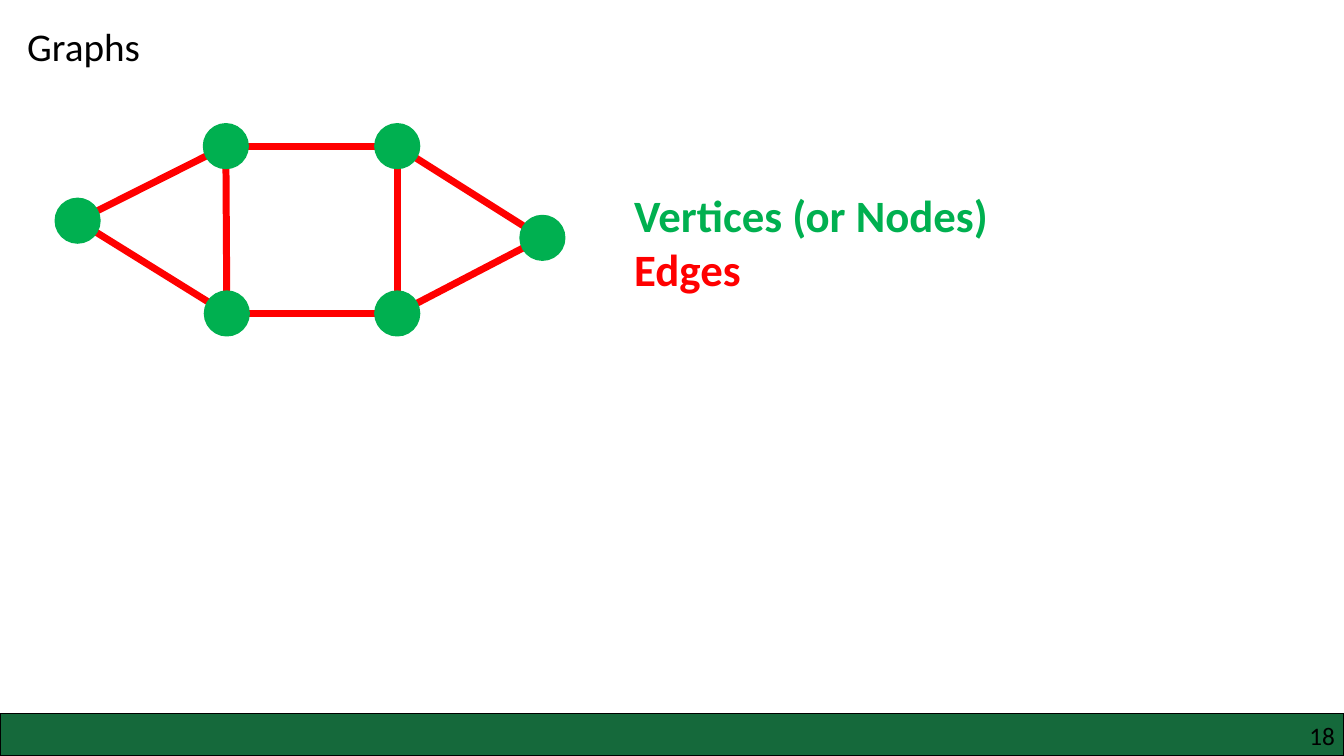
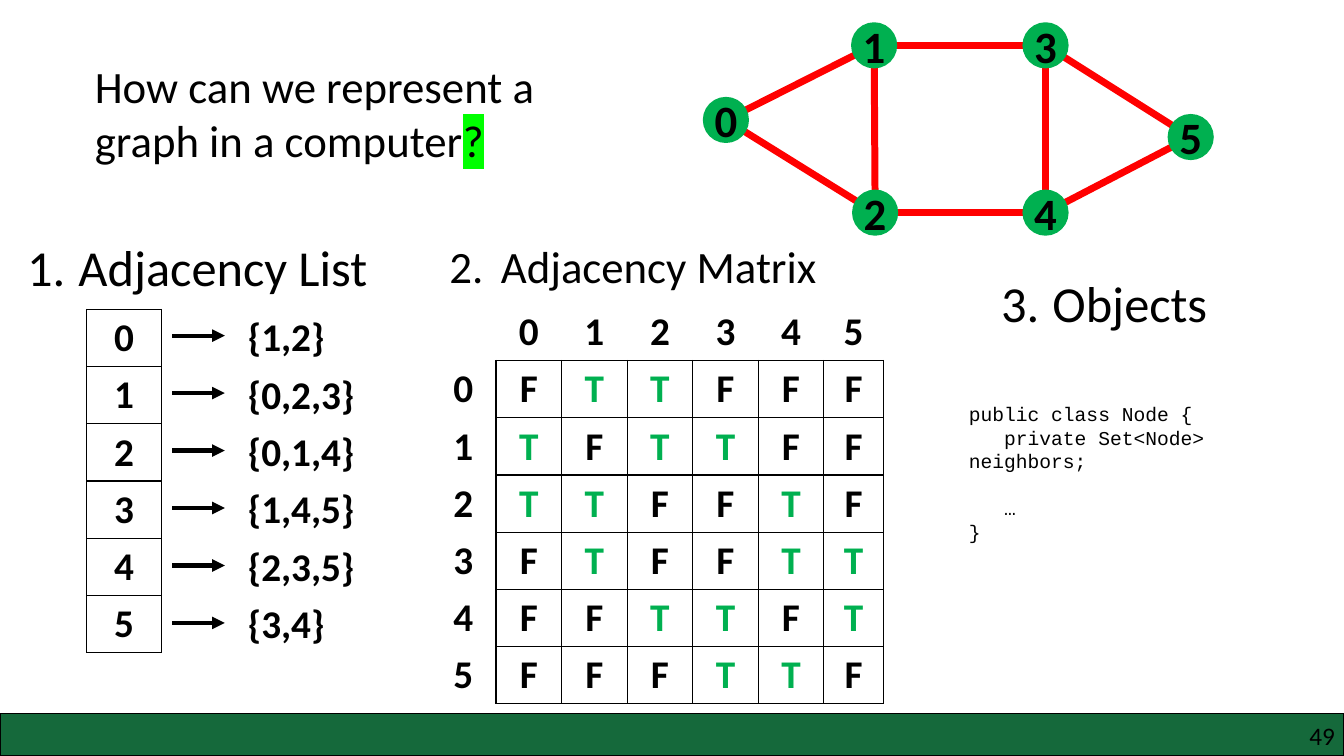
from lxml import etree
from pptx import Presentation
from pptx.dml.color import RGBColor
from pptx.enum.shapes import MSO_CONNECTOR, MSO_SHAPE
from pptx.enum.text import MSO_ANCHOR, MSO_AUTO_SIZE, PP_ALIGN
from pptx.oxml.ns import qn
from pptx.util import Inches, Pt

LEFT, CENTER, RIGHT = PP_ALIGN.LEFT, PP_ALIGN.CENTER, PP_ALIGN.RIGHT
TOP, MIDDLE = MSO_ANCHOR.TOP, MSO_ANCHOR.MIDDLE
STRAIGHT = MSO_CONNECTOR.STRAIGHT
OVAL, RECTANGLE = MSO_SHAPE.OVAL, MSO_SHAPE.RECTANGLE
NO_AUTOFIT = MSO_AUTO_SIZE.NONE

SLIDE_W, SLIDE_H = 13.33, 7.5
BAND_H = 0.42
BODY_FONT, CODE_FONT = "Calibri", "Courier New"
BLACK, BAND_GREEN = "000000", "15693B"
GREEN, RED, HIGHLIGHT = "00B050", "FF0000", "00FF00"

# Node centres, relative to the top left corner of the graph
NODES = [(0.22, 0.96), (1.69, 0.22), (1.7, 1.88), (3.39, 0.22), (3.39, 1.88), (4.83, 1.13)]
EDGES = [(0, 1), (0, 2), (1, 2), (1, 3), (2, 4), (3, 4), (3, 5), (4, 5)]
NODE_SIZE = 0.43
NEIGHBORS = [sorted({a + b - n for a, b in EDGES if n in (a, b)}) for n in range(len(NODES))]

CODE = """public class Node {
   private Set<Node> neighbors;

   …
}"""


def rgb(color):
    return RGBColor.from_string(color)


def add_xml(parent, tag, **attributes):
    return etree.SubElement(parent, qn(tag), attributes)


def format_run(r, size, color=BLACK, bold=False, font=BODY_FONT):
    r.font.name = font
    r.font.size = Pt(size)
    r.font.bold = bold
    r.font.color.rgb = rgb(color)


def set_text(tf, text, size, align=LEFT, **style):
    tf.text = text
    for p in tf.paragraphs:
        p.alignment = align
        p.font.size = Pt(size)
        for r in p.runs:
            format_run(r, size, **style)


def place(shape, left, top, width, height):
    shape.left, shape.top = Inches(left), Inches(top)
    shape.width, shape.height = Inches(width), Inches(height)


def add_text(s, box, text, size, wrap=True, **style):
    tf = s.shapes.add_textbox(*map(Inches, box)).text_frame
    tf.word_wrap = wrap
    set_text(tf, text, size, **style)
    return tf


def add_line(shapes, start, end, color, width, arrow=False):
    line = shapes.add_connector(STRAIGHT, *map(Inches, (*start, *end)))
    line.line.color.rgb = rgb(color)
    line.line.width = Pt(width)
    sp_pr = line._element.spPr
    if arrow:
        add_xml(sp_pr.find(qn("a:ln")), "a:tailEnd", type="triangle")
    add_xml(sp_pr, "a:effectLst")


def add_filled(shapes, kind, box, fill, line, line_width):
    shape = shapes.add_shape(kind, *map(Inches, box))
    shape.shadow.inherit = False
    shape.fill.solid()
    shape.fill.fore_color.rgb = rgb(fill)
    shape.line.color.rgb = rgb(line)
    shape.line.width = Pt(line_width)
    return shape


def set_title(s, box, text, size):
    title = s.shapes.title
    place(title, *box)
    tf = title.text_frame
    tf.auto_size = NO_AUTOFIT
    tf.word_wrap = True
    tf.vertical_anchor = TOP
    set_text(tf, text, size)
    return tf


def add_footer(s, number):
    top = SLIDE_H - BAND_H
    add_filled(s.shapes, RECTANGLE, (0, top, SLIDE_W, BAND_H), BAND_GREEN, BLACK, 1)
    tf = add_text(s, (10.17, top + 0.07, 3.07, 0.3), str(number), 18, align=RIGHT)
    tf.margin_left = tf.margin_right = tf.margin_top = tf.margin_bottom = 0


def add_graph(s, left, top, labelled=False):
    shapes = s.shapes.add_group_shape().shapes
    centers = [(left + x, top + y) for x, y in NODES]
    for a, b in EDGES:
        add_line(shapes, centers[a], centers[b], RED, 5)
    for n, (x, y) in enumerate(centers):
        box = (x - NODE_SIZE / 2, y - NODE_SIZE / 2, NODE_SIZE, NODE_SIZE)
        node = add_filled(shapes, OVAL, box, GREEN, GREEN, 2)
        if labelled:
            tf = node.text_frame
            tf.margin_left = tf.margin_right = tf.margin_top = tf.margin_bottom = 0
            tf.word_wrap = False
            tf.vertical_anchor = MIDDLE
            set_text(tf, str(n), 32, align=CENTER, bold=True)


def add_numbered_heading(s, box, number, text, size):
    tf = add_text(s, box, text, size)
    p_pr = tf.paragraphs[0]._p.get_or_add_pPr()
    p_pr.set("marL", str(Inches(0.51)))
    p_pr.set("indent", str(-Inches(0.51)))
    # Numbering precedes the default run properties
    numbering = etree.Element(qn("a:buAutoNum"), type="arabicPeriod", startAt=str(number))
    p_pr.insert(0, numbering)


def set_borders(cell, drawn):
    """Draw the sides named in drawn (L, R, T, B) and clear the others."""
    tc_pr = cell._tc.get_or_add_tcPr()
    for side in "LRTB":
        ln = add_xml(tc_pr, f"a:ln{side}", w=str(Pt(1)))
        if side in drawn:
            add_xml(add_xml(ln, "a:solidFill"), "a:srgbClr", val=BLACK)
        else:
            add_xml(ln, "a:noFill")


def add_grid(s, left, top, height, widths, rows, borders):
    """Add a table; borders(row, column) names the sides to draw."""
    table = s.shapes.add_table(len(rows), len(widths), *map(
        Inches, (left, top, sum(widths), height))).table
    table.first_row = table.horz_banding = False
    for column, width in zip(table.columns, widths):
        column.width = Inches(width)
    for i, row in enumerate(rows):
        for j, text in enumerate(row):
            cell = table.cell(i, j)
            set_borders(cell, borders(i, j))
            cell.fill.background()
            set_text(cell.text_frame, text, 28, align=CENTER, bold=True,
                     color=GREEN if text == "T" else BLACK)


def add_adjacency_list(s, left, top):
    add_numbered_heading(s, (left, top, 4.6, 0.71), 1, "Adjacency List", 36)
    add_grid(s, left + 0.69, top + 0.78, 3.4, [0.74],
             [[str(n)] for n in range(len(NODES))], lambda i, j: "LRTB")
    for n, neighbors in enumerate(NEIGHBORS):
        y = top + 0.76 + 0.57 * n
        add_line(s.shapes, (left + 1.54, y + 0.28), (left + 2.06, y + 0.28), BLACK, 3, arrow=True)
        text = "{" + ",".join(map(str, neighbors)) + "}"
        add_text(s, (left + 2.19, y, 1.59, 0.57), text, 28, bold=True)


def matrix_borders(i, j):
    if i and j:
        return "LRTB"
    return "B" if j else "R" if i else ""


def add_adjacency_matrix(s, left, top):
    add_numbered_heading(s, (left + 0.09, top, 4.66, 0.64), 2, "Adjacency Matrix", 32)
    ids = range(len(NODES))
    rows = [["", *map(str, ids)]]
    rows += [[str(a), *("T" if b in NEIGHBORS[a] else "F" for b in ids)] for a in ids]
    add_grid(s, left, top + 0.69, 3.97, [0.65] * 6 + [0.59], rows, matrix_borders)


def add_objects(s, left, top):
    add_numbered_heading(s, (left + 0.32, top, 2.78, 0.71), 3, "Objects", 36)
    add_text(s, (left, top + 1.29, SLIDE_W - left, 1.28), CODE, 14, wrap=False, font=CODE_FONT)


def add_legend(body, box):
    place(body, *box)
    tf = body.text_frame
    tf.auto_size = NO_AUTOFIT
    tf.text = "Vertices (or Nodes)\nEdges"
    for p, color in zip(tf.paragraphs, (GREEN, RED)):
        p_pr = p._p.get_or_add_pPr()
        p_pr.set("marL", "0")
        p_pr.set("indent", "0")
        add_xml(p_pr, "a:buNone")
        p.space_before = Pt(0)
        format_run(p.runs[0], 32, color, bold=True)


def graphs_slide(prs):
    s = prs.slides.add_slide(prs.slide_layouts[1])
    add_footer(s, 18)
    set_title(s, (0.17, 0.17, 6, 0.57), "Graphs", 28)
    add_graph(s, 0.55, 1.23)
    add_legend(s.placeholders[1], (6.19, 1.81, 4.91, 1.18))


def representations_slide(prs):
    s = prs.slides.add_slide(prs.slide_layouts[5])
    add_footer(s, 49)
    tf = set_title(s, (0.84, 0.53, 4.97, 1.18), "How can we represent a graph in a computer", 32)
    r = tf.paragraphs[0].add_run()
    r.text = "?"
    format_run(r, 32)
    highlight = etree.Element(qn("a:highlight"))
    add_xml(highlight, "a:srgbClr", val=HIGHLIGHT)
    r._r.get_or_add_rPr().find(qn("a:solidFill")).addnext(highlight)
    add_graph(s, 6.98, 0.23, labelled=True)
    add_adjacency_list(s, 0.17, 2.29)
    add_adjacency_matrix(s, 4.27, 2.32)
    add_objects(s, 9.51, 2.65)


def main():
    prs = Presentation()
    prs.slide_width, prs.slide_height = Inches(SLIDE_W), Inches(SLIDE_H)
    graphs_slide(prs)
    representations_slide(prs)
    prs.save("out.pptx")


if __name__ == "__main__":
    main()
